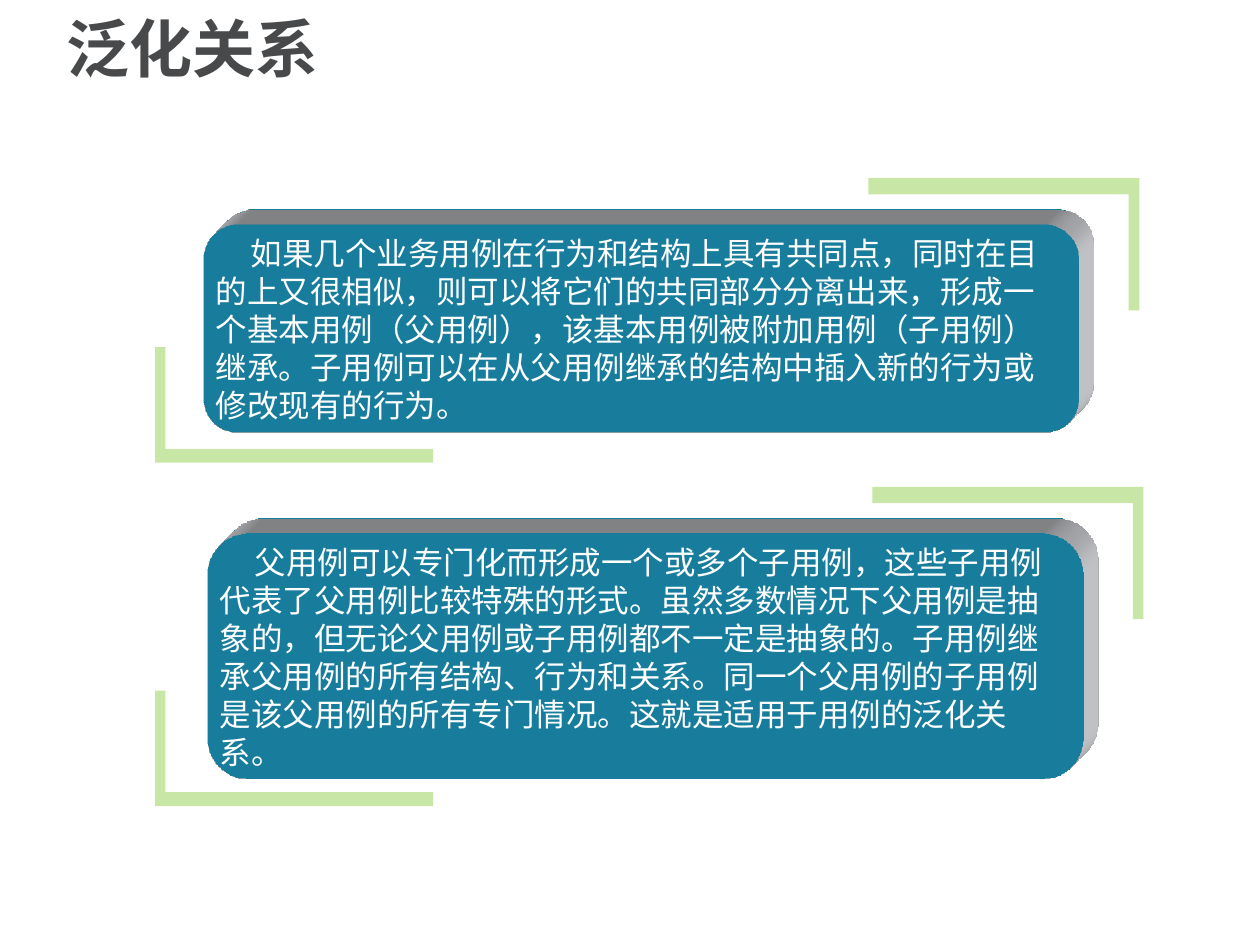
from dataclasses import dataclass

from lxml import etree
from pptx import Presentation
from pptx.dml.color import RGBColor
from pptx.enum.shapes import MSO_SHAPE
from pptx.enum.text import MSO_ANCHOR
from pptx.oxml.ns import qn
from pptx.util import Pt

ROUNDED = MSO_SHAPE.ROUNDED_RECTANGLE
MIDDLE = MSO_ANCHOR.MIDDLE
TOP = MSO_ANCHOR.TOP

TITLE_GRAY = RGBColor(0x47, 0x49, 0x4B)
WHITE = RGBColor(0xFF, 0xFF, 0xFF)
GREEN = RGBColor(0x92, 0xD0, 0x50)
BLUE = RGBColor(0x22, 0xB1, 0xDE)
DEPTH_GRAY = RGBColor(0xDA, 0xDC, 0xE0)

TITLE_FONT = "Noto Sans CJK SC"
BODY_FONT = "DejaVu Sans"
CORNER_RATIO = 0.167
DEPTH = 24


@dataclass(frozen=True)
class Box:
    left: float
    top: float
    width: float
    height: float


@dataclass(frozen=True)
class Bracket:
    """An L-shaped frame; signed arms run from its outer corner."""
    x: float
    y: float
    arm_x: float
    arm_y: float
    thickness_x: float
    thickness_y: float


@dataclass(frozen=True)
class Panel:
    box: Box
    brackets: tuple[Bracket, ...]
    text: str


def lower_left(y: float) -> Bracket:
    return Bracket(88.6, y, 158.9, -66, 6, -7.9)


def upper_right(x: float, y: float) -> Bracket:
    return Bracket(x, y, -154.8, 75.6, -6, 9.3)


PANELS = (
    Panel(
        Box(116.2, 128.2, 500.4, 118.8),
        (lower_left(264.4), upper_right(651, 101.7)),
        "如果几个业务用例在行为和结构上具有共同点，同时在目的上又很相似，"
        "则可以将它们的共同部分分离出来，形成一个基本用例（父用例），"
        "该基本用例被附加用例（子用例）继承。"
        "子用例可以在从父用例继承的结构中插入新的行为或修改现有的行为。",
    ),
    Panel(
        Box(118.6, 304.6, 500.4, 140.4),
        (lower_left(460.6), upper_right(653.3, 278.2)),
        "父用例可以专门化而形成一个或多个子用例，"
        "这些子用例代表了父用例比较特殊的形式。"
        "虽然多数情况下父用例是抽象的，但无论父用例或子用例都不一定是抽象的。"
        "子用例继承父用例的所有结构、行为和关系。"
        "同一个父用例的子用例是该父用例的所有专门情况。"
        "这就是适用于用例的泛化关系。",
    ),
)


def paint(shape, color: RGBColor) -> None:
    shape.shadow.inherit = False
    shape.fill.solid()
    shape.fill.fore_color.rgb = color
    shape.line.fill.background()


def add_bracket(slide, bracket: Bracket) -> None:
    x, y = bracket.x, bracket.y
    end_x, end_y = x + bracket.arm_x, y + bracket.arm_y
    inner_x, inner_y = x + bracket.thickness_x, y + bracket.thickness_y
    outline = (
        (inner_x, inner_y), (inner_x, end_y), (x, end_y),
        (x, y), (end_x, y), (end_x, inner_y),
    )
    corners = [(Pt(left), Pt(top)) for left, top in outline]
    builder = slide.shapes.build_freeform(*corners[0])
    builder.add_line_segments(corners[1:], close=True)
    shape = builder.convert_to_shape()
    paint(shape, GREEN)
    color = shape._element.spPr.find(f".//{qn('a:srgbClr')}")
    etree.SubElement(color, qn("a:alpha"), val="50000")


def extrude(shape) -> None:
    """Give the shape a depth towards the upper right."""
    properties = shape._element.spPr
    scene = etree.SubElement(properties, qn("a:scene3d"))
    etree.SubElement(scene, qn("a:camera"), prst="legacyObliqueTopRight")
    etree.SubElement(scene, qn("a:lightRig"), rig="legacyFlat3", dir="b")
    solid = etree.SubElement(properties, qn("a:sp3d"),
                             extrusionH=str(Pt(DEPTH)),
                             prstMaterial="legacyMatte")
    color = etree.SubElement(solid, qn("a:extrusionClr"))
    etree.SubElement(color, qn("a:srgbClr"), val=str(DEPTH_GRAY))


def add_text(slide, box: Box, text: str, font: str, size: float,
             color: RGBColor, line_spacing: float, bold: bool = False,
             anchor=TOP, indent: float = 0) -> None:
    shape = slide.shapes.add_textbox(
        Pt(box.left), Pt(box.top), Pt(box.width), Pt(box.height))
    frame = shape.text_frame
    frame.word_wrap = True
    frame.vertical_anchor = anchor
    paragraph = frame.paragraphs[0]
    paragraph.line_spacing = line_spacing
    properties = paragraph._p.get_or_add_pPr()
    properties.set("marL", "0")
    properties.set("indent", str(Pt(indent)))
    properties.set("hangingPunct", "0")
    run = paragraph.add_run()
    run.text = text
    run.font.name = font
    run.font.size = Pt(size)
    run.font.bold = bold
    run.font.color.rgb = color
    etree.SubElement(run.font._element, qn("a:ea"), typeface=font)


def add_panel(slide, panel: Panel) -> None:
    for bracket in panel.brackets:
        add_bracket(slide, bracket)
    box = panel.box
    face = slide.shapes.add_shape(
        ROUNDED, Pt(box.left), Pt(box.top), Pt(box.width), Pt(box.height))
    face.adjustments[0] = CORNER_RATIO
    paint(face, BLUE)
    extrude(face)
    text_box = Box(box.left, box.top + 2.1, box.width - 1.4, box.height - 2.1)
    add_text(slide, text_box, panel.text, BODY_FONT, 18, WHITE,
             Pt(21.7), indent=20)


def main() -> None:
    presentation = Presentation()
    presentation.slide_width = Pt(720)
    presentation.slide_height = Pt(540)
    slide = presentation.slides.add_slide(presentation.slide_layouts[6])
    add_text(slide, Box(31, 4.7, 651.6, 50.4), "泛化关系", TITLE_FONT, 36,
             TITLE_GRAY, 0.9, bold=True, anchor=MIDDLE)
    for panel in PANELS:
        add_panel(slide, panel)
    presentation.save("out.pptx")


if __name__ == "__main__":
    main()
